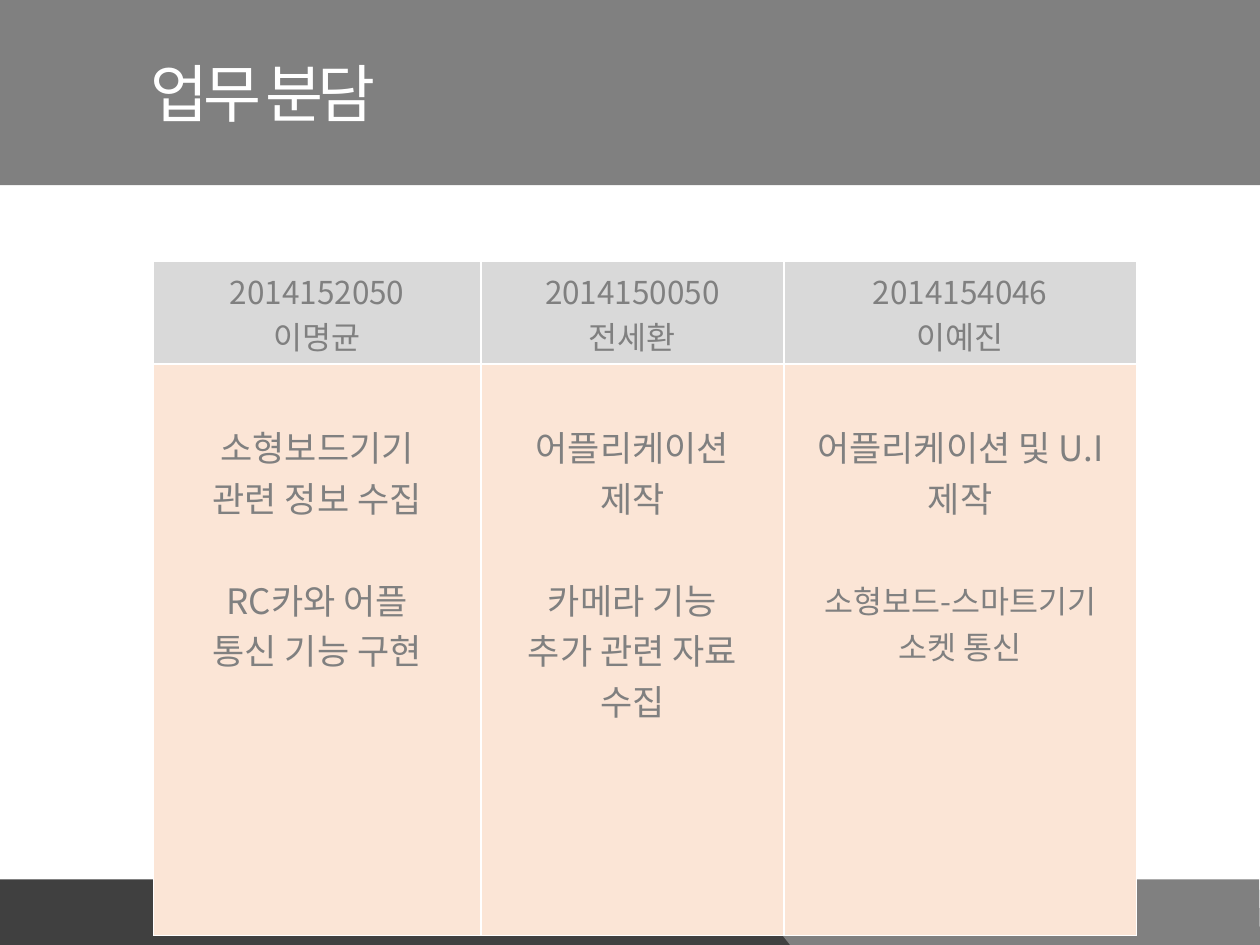
from lxml.etree import SubElement
from pptx import Presentation
from pptx.dml.color import RGBColor
from pptx.enum.shapes import MSO_SHAPE as Shape
from pptx.enum.text import MSO_ANCHOR as Anchor, PP_ALIGN as Align
from pptx.oxml.ns import qn
from pptx.util import Pt

WHITE, GRAY, DARK = "FFFFFF", "808080", "404040"
HEADER_FILL, BODY_FILL = "D9D9D9", "FBE5D6"
GAP = 29  # one line of 20 pt text


def color(value):
    return RGBColor.from_string(value)


class SlideBuilder:
    font_name = "Noto Sans CJK KR"

    def __init__(self, slide):
        self.slide = slide

    def paint(self, shape, fill):
        shape.shadow.inherit = False
        shape.fill.solid()
        shape.fill.fore_color.rgb = color(fill)
        shape.line.fill.background()

    def rectangle(self, left, top, width, height, fill):
        shape = self.slide.shapes.add_shape(
            Shape.RECTANGLE, Pt(left), Pt(top), Pt(width), Pt(height))
        self.paint(shape, fill)

    def polygon(self, points, fill):
        start, *others = [(Pt(x), Pt(y)) for x, y in points]
        builder = self.slide.shapes.build_freeform(*start, scale=1.0)
        builder.add_line_segments(others, close=True)
        self.paint(builder.convert_to_shape(), fill)

    def run(self, paragraph, text, size, text_color, spacing=None):
        run = paragraph.add_run()
        run.text = text
        run.font.size = Pt(size)
        run.font.color.rgb = color(text_color)
        run.font.name = self.font_name
        properties = run.font._element
        SubElement(properties, qn("a:ea"), typeface=self.font_name)
        if spacing is not None:
            properties.set("spc", str(spacing * 100))

    def title(self, left, top, width, height, text):
        box = self.slide.shapes.add_textbox(
            Pt(left), Pt(top), Pt(width), Pt(height))
        frame = box.text_frame
        frame.word_wrap = True
        frame.vertical_anchor = Anchor.MIDDLE
        self.run(frame.paragraphs[0], text, 36, WHITE, spacing=-3)

    def cell(self, cell, lines, fill):
        """Fill a cell with lines of (text, size, space before)."""
        properties = cell._tc.get_or_add_tcPr()
        for side in ("lnL", "lnR", "lnT", "lnB"):
            border = SubElement(properties, qn(f"a:{side}"), w=str(Pt(1)))
            solid = SubElement(border, qn("a:solidFill"))
            SubElement(solid, qn("a:srgbClr"), val=WHITE)
        cell.fill.solid()
        cell.fill.fore_color.rgb = color(fill)
        frame = cell.text_frame
        for index, (text, size, before) in enumerate(lines):
            paragraph = frame.add_paragraph() if index else frame.paragraphs[0]
            paragraph.alignment = Align.CENTER
            if before:
                paragraph.space_before = Pt(before)
            self.run(paragraph, text, size, GRAY)

    def table(self, left, top, widths, heights, members):
        table = self.slide.shapes.add_table(
            len(heights), len(widths), Pt(left), Pt(top),
            Pt(sum(widths)), Pt(sum(heights))).table
        table.first_row = table.horz_banding = False
        for row, height in zip(table.rows, heights):
            row.height = Pt(height)
        for index, (width, (heading, duties)) in enumerate(zip(widths, members)):
            table.columns[index].width = Pt(width)
            header, body = table.cell(0, index), table.cell(1, index)
            self.cell(header, [(text, 18, 0) for text in heading], HEADER_FILL)
            header.vertical_anchor = Anchor.MIDDLE
            self.cell(body, duties, BODY_FILL)
            body.margin_top = Pt(3.6 + GAP)


MEMBERS = [
    (("2014152050", "이명균"),
     [("소형보드기기", 20, 0), ("관련 정보 수집", 20, 0),
      ("RC카와 어플", 20, GAP), ("통신 기능 구현", 20, 0)]),
    (("2014150050", "전세환"),
     [("어플리케이션", 20, 0), ("제작", 20, 0),
      ("카메라 기능", 20, GAP), ("추가 관련 자료", 20, 0), ("수집", 20, 0)]),
    (("2014154046", "이예진"),
     [("어플리케이션 및 U.I", 20, 0), ("제작", 20, 0),
      ("소형보드-스마트기기 소켓 통신", 18, GAP + 2)]),
]


def main():
    presentation = Presentation()
    presentation.slide_width, presentation.slide_height = Pt(720), Pt(540)
    builder = SlideBuilder(
        presentation.slides.add_slide(presentation.slide_layouts[6]))

    # Title band
    builder.rectangle(0, 0, 720, 105.8, GRAY)
    builder.title(79.2, 25.2, 604.8, 55.4, "업무 분담")

    # Footer bands
    builder.polygon([(-6, 502.5), (413, 502.5), (459, 540), (-5, 540)], DARK)
    builder.polygon([(720, 540), (451.5, 540), (422, 502.5), (719.5, 502.5)], GRAY)

    # Work assignment table
    builder.table(87.8, 149.3, (187, 173.3, 201.3), (58.7, 326.7), MEMBERS)

    presentation.save("out.pptx")


if __name__ == "__main__":
    main()
